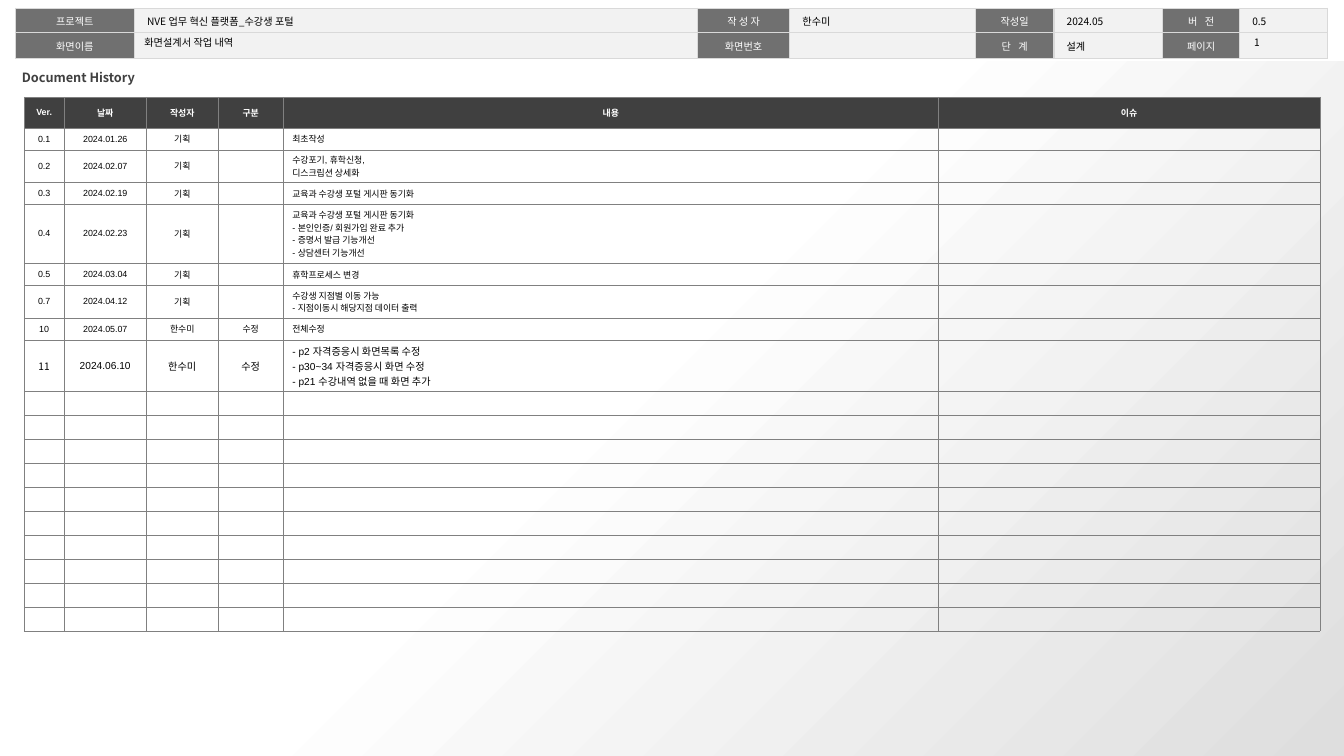
"""Build the document history page of a screen design file."""
import pptx
import pptx.util
import pptx.dml.color
import pptx.enum.shapes
import pptx.enum.text
import pptx.oxml.ns
from lxml import etree

Pt = pptx.util.Pt
RGB = pptx.dml.color.RGBColor
qn = pptx.oxml.ns.qn
ALIGN = pptx.enum.text.PP_ALIGN
ANCHOR = pptx.enum.text.MSO_ANCHOR

WHITE = RGB(0xFF, 0xFF, 0xFF)
BLACK = RGB(0, 0, 0)
DARK = RGB(0x40, 0x40, 0x40)
LABEL = RGB(0x70, 0x70, 0x70)
PALE = RGB(0xF2, 0xF2, 0xF2)
RULE = RGB(0xD9, 0xD9, 0xD9)
GRID = RGB(0x80, 0x80, 0x80)
SHADE = RGB(0xDE, 0xDE, 0xDE)
NOTO = "Noto Sans CJK KR"
ARIAL = "Arial"

META = [
    ["프로젝트", "NVE 업무 혁신 플랫폼_수강생 포털", "작 성 자", "한수미",
     "작성일", "2024.05", "버 전", "0.5"],
    ["화면이름", "", "화면번호", "", "단 계", "설계", "페이지", ""],
]
WIDE = ("버 전", "단 계")
HEADS = ["Ver.", "날짜", "작성자", "구분", "내용", "이슈"]
LOG = [
    ("0.1", "2024.01.26", "기획", "", ["최초작성"], 17.4),
    ("0.2", "2024.02.07", "기획", "", ["수강포기, 휴학신청,", "디스크립션 상세화"], 25.4),
    ("0.3", "2024.02.19", "기획", "", ["교육과 수강생 포털 게시판 동기화"], 17.4),
    ("0.4", "2024.02.23", "기획", "",
     ["교육과 수강생 포털 게시판 동기화", "- 본인인증/ 회원가입 완료 추가",
      "- 증명서 발급 기능개선", "- 상담센터 기능개선"], 46.4),
    ("0.5", "2024.03.04", "기획", "", ["휴학프로세스 변경"], 17.4),
    ("0.7", "2024.04.12", "기획", "",
     ["수강생 지점별 이동 가능", "- 지점이동시 해당지점 데이터 출력"], 25.8),
    ("10", "2024.05.07", "한수미", "수정", ["전체수정"], 17.4),
    ("11", "2024.06.10", "한수미", "수정",
     ["- p2 자격증응시 화면목록 수정", "- p30~34 자격증응시 화면 수정",
      "- p21 수강내역 없을 때 화면 추가"], 40.2),
]
SPARE = 10


class Page:
    """Hold the slide and draw each kind of element on it."""

    def __init__(self, deck):
        self.slide = deck.slides.add_slide(deck.slide_layouts[6])
        self.shapes = self.slide.shapes

    def fill(self, frame, lines, size=8, face=NOTO, color=BLACK, bold=False,
             align=ALIGN.LEFT, space=None, gap=0):
        """Fill a text frame, one paragraph for each line."""
        for i, line in enumerate(lines):
            para = frame.paragraphs[0] if i == 0 else frame.add_paragraph()
            para.alignment = align
            if space:
                para.line_spacing = space
            if not line:
                etree.SubElement(para._p, qn("a:endParaRPr"), sz=str(size * 100))
                continue
            run = para.add_run()
            run.text = line
            font = run.font
            font.size, font.name, font.bold = Pt(size), face, bold
            font.color.rgb = color
            props = run._r.get_or_add_rPr()
            etree.SubElement(props, qn("a:ea"), typeface=NOTO)
            if gap:
                props.set("spc", str(gap * 100))

    def text(self, x, y, w, h, line, pad=(7.2, 3.6), anchor=ANCHOR.MIDDLE, **style):
        """Add a text box."""
        frame = self.shapes.add_textbox(Pt(x), Pt(y), Pt(w), Pt(h)).text_frame
        frame.word_wrap = True
        frame.vertical_anchor = anchor
        frame.margin_left = frame.margin_right = Pt(pad[0])
        frame.margin_top = frame.margin_bottom = Pt(pad[1])
        self.fill(frame, [line], **style)

    def shade(self, x, y, w, h):
        """Add the gradient backdrop."""
        box = self.shapes.add_shape(
            pptx.enum.shapes.MSO_SHAPE.RECTANGLE, Pt(x), Pt(y), Pt(w), Pt(h))
        box.shadow.inherit = False
        box.line.fill.background()
        box.fill.gradient()
        box.fill.gradient_angle = 315
        for stop, spot, color in zip(box.fill.gradient_stops, (0.45, 1), (WHITE, SHADE)):
            stop.position = spot
            stop.color.rgb = color

    def table(self, x, y, cols, rows):
        """Add a plain table with the given column widths and row heights."""
        table = self.shapes.add_table(
            len(rows), len(cols), Pt(x), Pt(y), Pt(sum(cols)), Pt(sum(rows))).table
        table.first_row = table.horz_banding = False
        for col, size in zip(table.columns, cols):
            col.width = Pt(size)
        for row, size in zip(table.rows, rows):
            row.height = Pt(size)
        return table

    def cell(self, cell, lines, back, edge, width, pad, anchor=ANCHOR.MIDDLE, **style):
        """Style one table cell and set its lines."""
        if back is None:
            cell.fill.background()
        else:
            cell.fill.solid()
            cell.fill.fore_color.rgb = back
        cell.margin_left = cell.margin_right = Pt(pad[0])
        cell.margin_top = cell.margin_bottom = Pt(pad[1])
        cell.vertical_anchor = anchor
        props = cell._tc.get_or_add_tcPr()
        for i, side in enumerate(("lnL", "lnR", "lnT", "lnB")):
            line = etree.Element(qn("a:" + side), w=str(Pt(width)))
            solid = etree.SubElement(line, qn("a:solidFill"))
            etree.SubElement(solid, qn("a:srgbClr"), val=str(edge))
            props.insert(i, line)
        self.fill(cell.text_frame, lines, **style)


def meta(page):
    """Draw the project details at the top."""
    cols = [93.6, 443.5, 72.7, 146.2, 61.9, 85.7, 60.5, 69.1]
    table = page.table(12.2, 6.5, cols, [19.4, 20.2])
    for r, row in enumerate(META):
        for c, word in enumerate(row):
            label = c % 2 == 0
            page.cell(table.cell(r, c), [word], LABEL if label else PALE, RULE, 1,
                      (10, 3.6), ANCHOR.TOP, color=WHITE if label else BLACK,
                      align=ALIGN.CENTER if label else ALIGN.LEFT, space=1.05,
                      gap=2 if word in WIDE else 0)


def log(page):
    """Draw the version history."""
    cols = [31.7, 64.6, 56.8, 51.1, 516, 300.2]
    rows = [24.4] + [item[-1] for item in LOG] + [18.9] * SPARE
    table = page.table(18.9, 76.4, cols, rows)
    for c, word in enumerate(HEADS):
        page.cell(table.cell(0, c), [word], DARK, GRID, 0.25, (7.2, 3.6), size=7,
                  face=ARIAL, color=WHITE, bold=True, align=ALIGN.CENTER)
    blank = ("", "", "", "", [""], 0)
    for r, item in enumerate(LOG + [blank] * SPARE, 1):
        last = item is LOG[-1]
        for c in range(len(cols)):
            lines = item[4] if c == 4 else [item[c] if c < 4 else ""]
            page.cell(table.cell(r, c), lines, None, GRID, 0.25, (7.2, 2.9),
                      size=8 if last else 7,
                      face=NOTO if last and c in (0, 2) else ARIAL,
                      align=ALIGN.CENTER if c < 4 else ALIGN.LEFT)


def main():
    """Build and save the deck."""
    deck = pptx.Presentation()
    deck.slide_width, deck.slide_height = Pt(1058.4), Pt(595.4)
    page = Page(deck)
    meta(page)
    page.shade(0, 48.2, 1058.4, 547.2)
    page.text(980.6, 27.4, 51.8, 11.5, "1")
    page.text(105.8, 27.4, 390.2, 11.5, "화면설계서 작업 내역", pad=(7.9, 3.6))
    log(page)
    page.text(7.9, 51.8, 114, 19.4, "Document History", pad=(9.4, 3.6),
              anchor=ANCHOR.TOP, size=10, color=DARK, bold=True)
    deck.save("out.pptx")


if __name__ == "__main__":
    main()
